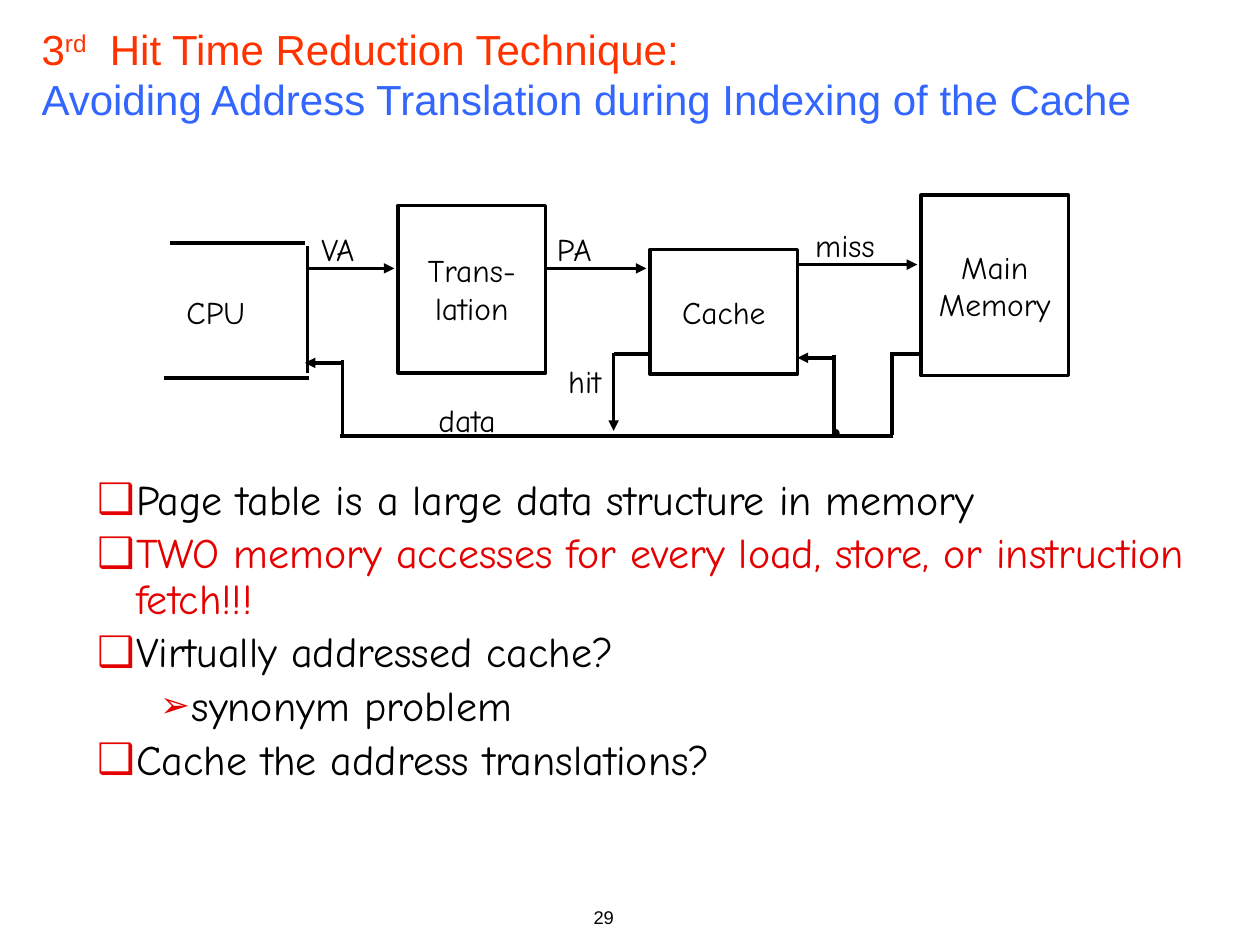
from typing import NamedTuple

from lxml.etree import SubElement
from pptx import Presentation
from pptx.dml.color import RGBColor
from pptx.enum.shapes import MSO_CONNECTOR as Connector, MSO_SHAPE as Preset
from pptx.enum.text import MSO_ANCHOR as Anchor, MSO_AUTO_SIZE as Fit, PP_ALIGN as Align
from pptx.oxml.ns import qn
from pptx.util import Emu, Inches, Pt

# Slide grid: 100 columns by 75 rows
COLUMNS, ROWS = 100, 75
WIDTH, HEIGHT = Inches(10), Inches(7.5)
BLACK, WHITE, RED, ORANGE, BLUE = "000000", "FFFFFF", "E40000", "FF3300", "3366FF"
HEADING_FONT, BODY_FONT = "Arial", "Comic Neue"
BOX_WIDTH = 11.7


class Block(NamedTuple):
    lines: list[str]
    left: float
    top: float
    height: float


class Wire(NamedTuple):
    start: tuple[float, float]
    end: tuple[float, float]
    arrow: bool = False


class Label(NamedTuple):
    text: str
    left: float
    top: float
    width: float


class Item(NamedTuple):
    text: str
    color: str = BLACK
    level: int = 0


BLOCKS = [
    Block(["Trans-", "lation"], 31.6, 16.3, 13.3),
    Block(["Cache"], 51.6, 19.8, 9.9),
    Block(["Main", "Memory"], 73.1, 15.5, 14.3),
]
WIRES = [
    # CPU outline, open on the left
    Wire((13.5, 19.3), (24.2, 19.3)),
    Wire((24.4, 19.5), (24.4, 29.6)),
    Wire((24.5, 30), (13, 30)),
    # Requests, left to right
    Wire((24.5, 21.3), (31.3, 21.3), True),
    Wire((43.3, 21.3), (51.3, 21.3), True),
    Wire((63.4, 21), (72.8, 21), True),
    # Data bus back to the CPU
    Wire((73.1, 28.1), (70.6, 28.1)),
    Wire((70.8, 28.2), (70.8, 34.5)),
    Wire((70.9, 34.6), (27, 34.6)),
    Wire((27.2, 34.8), (27.2, 28.6)),
    Wire((27.3, 28.8), (24.2, 28.8), True),
    # Refill of the cache
    Wire((66.2, 34.8), (66.2, 28.2)),
    Wire((66.3, 28.4), (63.3, 28.4), True),
    # Hit path
    Wire((51.6, 28.1), (48.7, 28.1)),
    Wire((48.7, 28), (48.7, 34.2), True),
]
LABELS = [
    Label("CPU", 14.1, 23.4, 6.1),
    Label("VA", 24.8, 18.4, 4.9),
    Label("PA", 43.5, 18.4, 4.5),
    Label("miss", 64, 18.1, 6.5),
    Label("hit", 44.4, 28.9, 4.7),
    Label("data", 34.1, 32, 6.8),
]
ITEMS = [
    Item("Page table is a large data structure in memory"),
    Item("TWO memory accesses for every load, store, or instruction fetch!!!", RED),
    Item("Virtually addressed cache?"),
    Item("synonym problem", level=1),
    Item("Cache the address translations?"),
]


def across(columns: float) -> Emu:
    return Emu(round(WIDTH * columns / COLUMNS))


def down(rows: float) -> Emu:
    return Emu(round(HEIGHT * rows / ROWS))


def area(left: float, top: float, width: float, height: float) -> tuple:
    return across(left), down(top), across(width), down(height)


def rgb(value: str) -> RGBColor:
    return RGBColor.from_string(value)


def place(shape, *grid: float) -> None:
    shape.left, shape.top, shape.width, shape.height = area(*grid)


def write(para, text: str, *, font: str = BODY_FONT, size: float = 18,
          color: str = BLACK, baseline: int = 0) -> None:
    span = para.add_run()
    span.text = text
    span.font.name, span.font.size = font, Pt(size)
    span.font.color.rgb = rgb(color)
    if baseline:
        span.font._element.set("baseline", str(baseline * 1000))


def add_bullet(para, mark: str, left: float, hanging: float, size: int) -> None:
    props = para._p.get_or_add_pPr()
    props.set("marL", str(across(left)))
    props.set("indent", str(-across(hanging)))
    SubElement(SubElement(props, qn("a:buClr")), qn("a:srgbClr"), val=RED)
    SubElement(props, qn("a:buSzPct"), val=str(size * 1000))
    SubElement(props, qn("a:buChar"), char=mark)


def outline(shape) -> None:
    shape.line.color.rgb = rgb(BLACK)
    shape.line.width = Pt(2)


def draw_block(shapes, block: Block) -> None:
    box = shapes.add_shape(
        Preset.RECTANGLE, *area(block.left, block.top, BOX_WIDTH, block.height))
    box.shadow.inherit = False
    box.fill.background()
    outline(box)
    frame = box.text_frame
    frame.word_wrap, frame.vertical_anchor = False, Anchor.MIDDLE
    for index, line in enumerate(block.lines):
        para = frame.add_paragraph() if index else frame.paragraphs[0]
        para.alignment = Align.CENTER
        write(para, line)


def draw_wire(shapes, wire: Wire) -> None:
    (x1, y1), (x2, y2) = wire.start, wire.end
    line = shapes.add_connector(
        Connector.STRAIGHT, across(x1), down(y1), across(x2), down(y2))
    outline(line)
    if wire.arrow:
        SubElement(line.line._get_or_add_ln(), qn("a:tailEnd"), type="triangle")
    SubElement(line._element.spPr, qn("a:effectLst"))


def draw_label(shapes, label: Label) -> None:
    box = shapes.add_textbox(*area(label.left, label.top, label.width, 3.1))
    frame = box.text_frame
    frame.word_wrap, frame.auto_size = False, Fit.SHAPE_TO_FIT_TEXT
    frame.margin_left = frame.margin_right = across(0.7)
    frame.margin_top = frame.margin_bottom = down(0.3)
    frame.paragraphs[0].line_spacing = 0.85
    write(frame.paragraphs[0], label.text)


def fill_title(title) -> None:
    place(title, 2.3, 0, 100, 11.7)
    title.fill.solid()
    title.fill.fore_color.rgb = rgb(WHITE)
    frame = title.text_frame
    frame.auto_size, frame.vertical_anchor = Fit.NONE, Anchor.MIDDLE
    para = frame.paragraphs[0]
    para.alignment = Align.LEFT
    heading = {"font": HEADING_FONT, "size": 24}
    write(para, "3", color=ORANGE, **heading)
    write(para, "rd", color=ORANGE, baseline=30, **heading)
    write(para, "  Hit Time Reduction Technique: ", color=ORANGE, **heading)
    para.add_line_break()
    write(para, "Avoiding Address Translation during Indexing of the Cache",
          color=BLUE, **heading)


def fill_body(body) -> None:
    place(body, 6.7, 37.5, 90.8, 29.4)
    frame = body.text_frame
    frame.auto_size = Fit.NONE
    bullets = [("❑", 3.1, 3.1, 100), ("➢", 7.5, 2.5, 85)]
    for index, item in enumerate(ITEMS):
        para = frame.add_paragraph() if index else frame.paragraphs[0]
        para.level, para.line_spacing = item.level, 0.9
        para.space_before = Pt(4.8 if index else 0)
        add_bullet(para, *bullets[item.level])
        write(para, item.text, size=24, color=item.color)


def main() -> None:
    deck = Presentation()
    deck.slide_width, deck.slide_height = WIDTH, HEIGHT
    page = deck.slides.add_slide(deck.slide_layouts[1])
    fill_title(page.shapes.title)
    fill_body(page.placeholders[1])

    # Cache diagram
    diagram = page.shapes.add_group_shape().shapes
    for block in BLOCKS:
        draw_block(diagram, block)
    for wire in WIRES:
        draw_wire(diagram, wire)
    junction = diagram.add_shape(Preset.OVAL, *area(66.2, 34.2, 0.3, 0.4))
    junction.shadow.inherit = False
    junction.fill.solid()
    junction.fill.fore_color.rgb = rgb("E1F4FF")
    outline(junction)
    for label in LABELS:
        draw_label(diagram, label)

    # Page number
    number = page.shapes.add_textbox(*area(28.9, 71.4, 20.8, 5)).text_frame
    number.word_wrap = True
    number.paragraphs[0].alignment = Align.RIGHT
    write(number.paragraphs[0], "29", font=HEADING_FONT, size=10.5)
    deck.save("out.pptx")


if __name__ == "__main__":
    main()
